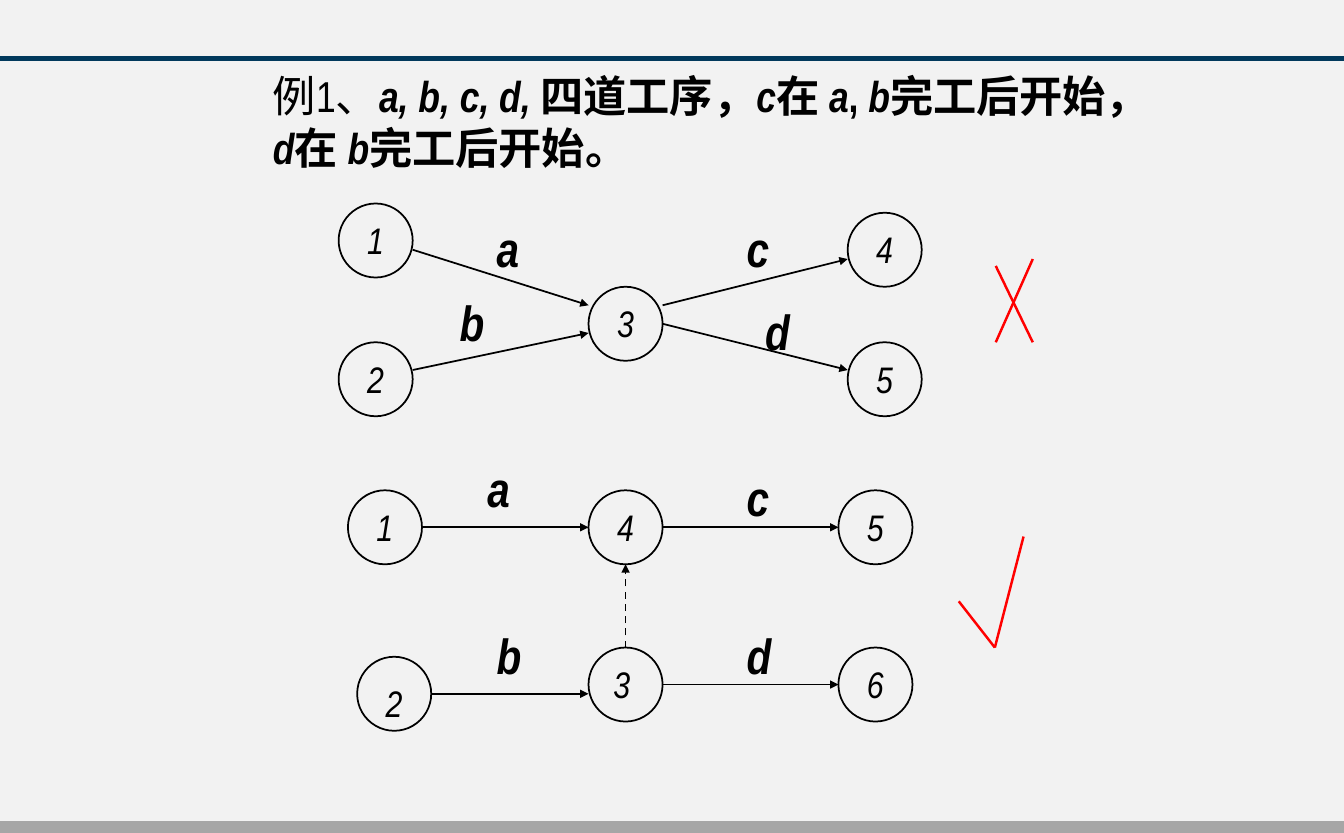
"""Build a slide that compares a wrong and a right activity network."""
from dataclasses import dataclass

from lxml.etree import SubElement
from pptx import Presentation
from pptx.dml.color import RGBColor
from pptx.enum.dml import MSO_LINE
from pptx.enum.shapes import MSO_CONNECTOR, MSO_SHAPE
from pptx.enum.text import MSO_AUTO_SIZE, PP_ALIGN
from pptx.oxml.ns import qn
from pptx.slide import Slide
from pptx.text.text import Font
from pptx.util import Inches, Length, Pt

COLORS = {"back": "F2F2F2", "ink": "000000", "mark": "FF0000",
          "navy": "01395C", "gray": "A6A6A6"}
FACE = "Arial Narrow"
WIDE, HIGH = 40 / 3, 21 / 2.54
LEFT, TOP = 3.36, 2.02
CELL = 1.01 / 11
DISC = 8


@dataclass(frozen=True)
class Node:
    """A numbered event; dx and dy place its number inside the circle."""
    name: str
    col: float
    row: float
    dx: float = 2
    dy: float = 1


@dataclass(frozen=True)
class Task:
    """The letter of an activity."""
    name: str
    col: float
    row: float


@dataclass(frozen=True)
class Link:
    """A straight line between two grid points."""
    col: float
    row: float
    end_col: float
    end_row: float
    dash: bool = False


@dataclass(frozen=True)
class Bar:
    """A band across the slide, in shares of its height."""
    top: float
    high: float
    color: str


@dataclass(frozen=True)
class Part:
    """A piece of the title."""
    text: str
    bold: bool = True
    slant: bool = False


BARS = [Bar(8.16 / HIGH, 0.1 / HIGH, "gray"), Bar(0.56 / HIGH, 0.04 / HIGH, "navy")]
TITLE = [
    Part("例1、", bold=False), Part("a, b, c, d, ", slant=True), Part("四道工序，"),
    Part("c", slant=True), Part("在 "), Part("a", slant=True), Part(","),
    Part(" b", slant=True), Part("完工后开始，\t"), Part("d", slant=True),
    Part("在 "), Part("b", slant=True), Part("完工后开始。"),
]
NODES = [
    Node("1", 0, 0), Node("2", 0, 15), Node("3", 27, 9),
    Node("4", 55, 1), Node("5", 55, 15),
    Node("1", 1, 31), Node("4", 27, 31), Node("5", 54, 31),
    Node("2", 2, 49, dy=2), Node("3", 27, 48, dx=1.6), Node("6", 54, 48),
]
TASKS = [
    Task("a", 16, 1), Task("b", 12, 9), Task("c", 43, 1), Task("d", 45, 10),
    Task("a", 15, 27), Task("b", 16, 45), Task("c", 43, 28), Task("d", 43, 45),
]
LINKS = [
    Link(8, 5, 27, 11), Link(8, 18, 27, 14), Link(35, 11, 55, 6), Link(35, 13, 55, 18),
    Link(9, 35, 27, 35), Link(35, 35, 54, 35), Link(10, 53, 27, 53),
    Link(35, 52, 54, 52), Link(31, 48, 31, 39, dash=True),
]
CROSS = [Link(75, 6, 71, 15), Link(71, 6.75, 75, 15)]
CHECK = [Link(67, 43, 70.9, 48), Link(70.9, 48, 74, 36)]


def paint(name: str) -> RGBColor:
    """Return a named colour."""
    return RGBColor.from_string(COLORS[name])


def across(col: float) -> Length:
    """Return the left offset of a grid column."""
    return Inches(LEFT + col * CELL)


def down(row: float) -> Length:
    """Return the top offset of a grid row."""
    return Inches(TOP + row * CELL)


def style(font: Font, size: float, bold: bool, slant: bool) -> None:
    """Set the look of a piece of text."""
    font.name, font.size = FACE, Pt(size)
    font.bold, font.italic = bold, slant
    font.color.rgb = paint("ink")


def add_bar(slide: Slide, bar: Bar) -> None:
    """Draw a band across the slide."""
    band = slide.shapes.add_shape(MSO_SHAPE.RECTANGLE, 0, Inches(bar.top * HIGH),
                                  Inches(WIDE), Inches(bar.high * HIGH))
    band.shadow.inherit = False
    band.fill.solid()
    band.fill.fore_color.rgb = paint(bar.color)
    band.line.color.rgb = paint(bar.color)
    band.line.width = Pt(1)


def add_title(slide: Slide) -> None:
    """Write the statement of the example."""
    box = slide.shapes.add_textbox(Inches(2.61), Inches(0.64),
                                   Inches(9.19), Inches(1.14))
    frame = box.text_frame
    frame.word_wrap = True
    frame.auto_size = MSO_AUTO_SIZE.SHAPE_TO_FIT_TEXT
    para = frame.paragraphs[0]
    para.alignment = PP_ALIGN.JUSTIFY
    tabs = SubElement(para._p.get_or_add_pPr(), qn("a:tabLst"))
    SubElement(tabs, qn("a:tab"), pos=str(Inches(1.8)), algn="l")
    for part in TITLE:
        run = para.add_run()
        run.text = part.text
        style(run.font, 30.9, part.bold, part.slant)


def add_label(slide: Slide, text: str, col: float, row: float,
              size: float, bold: bool) -> None:
    """Write a short slanted label at a grid point."""
    wide, high = (0.45, 0.69) if bold else (0.39, 0.55)
    box = slide.shapes.add_textbox(across(col), down(row), Inches(wide), Inches(high))
    frame = box.text_frame
    frame.text = text
    frame.word_wrap = False
    frame.auto_size = MSO_AUTO_SIZE.SHAPE_TO_FIT_TEXT
    style(frame.paragraphs[0].runs[0].font, size, bold, True)


def add_node(slide: Slide, node: Node) -> None:
    """Draw a circle with its number."""
    side = Inches(DISC * CELL)
    disc = slide.shapes.add_shape(MSO_SHAPE.OVAL, across(node.col), down(node.row),
                                  side, side)
    disc.shadow.inherit = False
    disc.fill.background()
    disc.line.color.rgb = paint("ink")
    disc.line.width = Pt(1.25)
    add_label(slide, node.name, node.col + node.dx, node.row + node.dy, 26.4, False)


def add_link(slide: Slide, link: Link, color: str, width: float, arrow: bool) -> None:
    """Draw a line, with an arrowhead if asked."""
    line = slide.shapes.add_connector(
        MSO_CONNECTOR.STRAIGHT, across(link.col), down(link.row),
        across(link.end_col), down(link.end_row))
    line.line.color.rgb = paint(color)
    line.line.width = Pt(width)
    if link.dash:
        line.line.dash_style = MSO_LINE.DASH
    props = line._element.spPr
    if arrow:
        SubElement(props.find(qn("a:ln")), qn("a:tailEnd"), type="triangle")
    SubElement(props, qn("a:effectLst"))


def main() -> None:
    """Build and save the slide."""
    deck = Presentation()
    deck.slide_width, deck.slide_height = Inches(WIDE), Inches(HIGH)
    slide = deck.slides.add_slide(deck.slide_layouts[6])
    slide.background.fill.solid()
    slide.background.fill.fore_color.rgb = paint("back")
    for bar in BARS:
        add_bar(slide, bar)
    add_title(slide)
    for node in NODES:
        add_node(slide, node)
    for link in LINKS:
        add_link(slide, link, "ink", 1.25, True)
    for task in TASKS:
        add_label(slide, task.name, task.col, task.row, 35.3, True)
    for link in CROSS + CHECK:
        add_link(slide, link, "mark", 1.75, False)
    deck.save("out.pptx")


if __name__ == "__main__":
    main()
